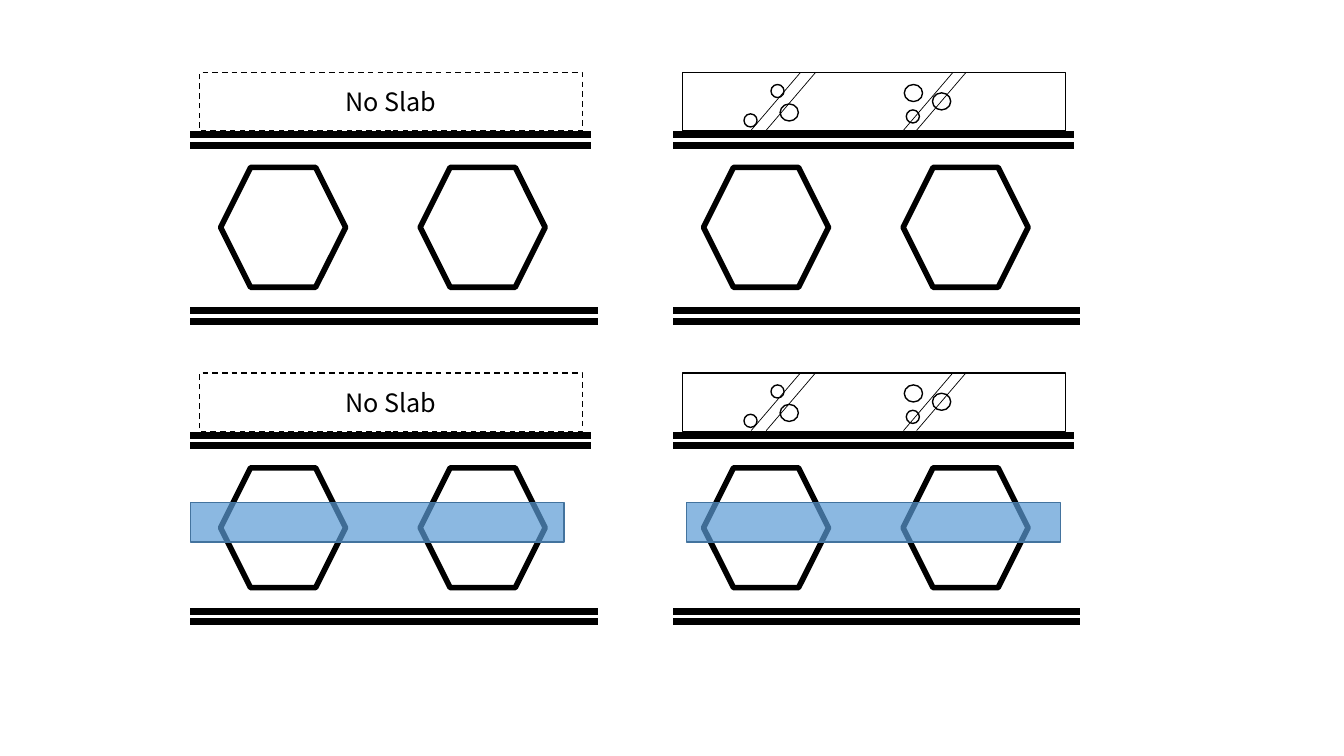
from itertools import product

from lxml.etree import SubElement
from pptx import Presentation
from pptx.dml.color import RGBColor
from pptx.enum.dml import MSO_LINE
from pptx.enum.shapes import MSO_CONNECTOR, MSO_SHAPE
from pptx.enum.text import MSO_ANCHOR, PP_ALIGN
from pptx.oxml.ns import qn
from pptx.util import Cm, Pt

BLACK = RGBColor(0x00, 0x00, 0x00)
BLUE = RGBColor(0x5B, 0x9B, 0xD5)
DARK_BLUE = RGBColor(0x43, 0x73, 0x9E)
FONT = "Noto Sans CJK KR"

LABEL = "No Slab"
COLUMNS = [(4.8, False, 4.8), (16.97, True, 17.3)]
ROWS = [(1.83, False), (9.4, True)]

RAILS = [(1.57, 10.1), (1.83, 10.1), (6.0, 10.26), (6.26, 10.26)]
HEXAGONS_X = [0.76, 5.79]
HEXAGON_Y, HEXAGON_W, HEXAGON_H = 2.39, 3.15, 3.02
SLAB_X, SLAB_W, SLAB_H = 0.23, 9.65, 1.47
CRACKS_X = [3.2, 3.58, 7.04, 7.37]
CRACK_DX, CRACK_DY = -1.24, 1.45
BIG, SMALL = (0.46, 0.43), (0.33, 0.33)
STONES = [
    (2.69, 0.79, BIG),
    (1.78, 1.04, SMALL),
    (5.82, 0.3, BIG),
    (2.46, 0.3, SMALL),
    (5.87, 0.94, SMALL),
    (6.53, 0.51, BIG),
]
BAR_Y, BAR_W, BAR_H = 3.27, 9.42, 0.99


def add_line(x1, y1, x2, y2, width):
    line = s.shapes.add_connector(
        MSO_CONNECTOR.STRAIGHT, Cm(x1), Cm(y1), Cm(x2), Cm(y2))
    line.line.color.rgb = BLACK
    line.line.width = Pt(width)
    SubElement(line._element.spPr, qn("a:effectLst"))


def add_outline(kind, x, y, w, h, width=1, color=BLACK):
    sp = s.shapes.add_shape(kind, Cm(x), Cm(y), Cm(w), Cm(h))
    sp.shadow.inherit = False
    sp.fill.background()
    sp.line.color.rgb = color
    sp.line.width = Pt(width)
    return sp


def add_frame(x, y):
    for dy, length in RAILS:
        add_line(x, y + dy, x + length, y + dy, 5)
    for dx in HEXAGONS_X:
        add_outline(MSO_SHAPE.HEXAGON, x + dx, y + HEXAGON_Y,
                    HEXAGON_W, HEXAGON_H, 4)


def add_slab(x, y, present):
    slab = add_outline(MSO_SHAPE.RECTANGLE, x + SLAB_X, y, SLAB_W, SLAB_H)
    if present:
        for dx in CRACKS_X:
            add_line(x + dx, y, x + dx + CRACK_DX, y + CRACK_DY, 0.5)
        for dx, dy, (w, h) in STONES:
            add_outline(MSO_SHAPE.OVAL, x + dx, y + dy, w, h)
        return
    slab.line.dash_style = MSO_LINE.DASH
    tf = slab.text_frame
    tf.vertical_anchor = MSO_ANCHOR.MIDDLE
    p = tf.paragraphs[0]
    p.text = LABEL
    p.alignment = PP_ALIGN.CENTER
    p.font.name = FONT
    p.font.size = Pt(18)
    p.font.color.rgb = BLACK


def add_bar(x, y):
    bar = add_outline(MSO_SHAPE.RECTANGLE, x, y, BAR_W, BAR_H, 1, DARK_BLUE)
    bar.fill.solid()
    bar.fill.fore_color.rgb = BLUE
    color = bar._element.spPr.find(qn("a:solidFill")).find(qn("a:srgbClr"))
    SubElement(color, qn("a:alpha"), val="70000")


prs = Presentation()
prs.slide_width, prs.slide_height = Cm(33.87), Cm(19.05)
s = prs.slides.add_slide(prs.slide_layouts[6])

for (y, has_bar), (x, has_slab, bar_x) in product(ROWS, COLUMNS):
    add_frame(x, y)
    add_slab(x, y, has_slab)
    if has_bar:
        add_bar(bar_x, y + BAR_Y)

prs.save("out.pptx")
